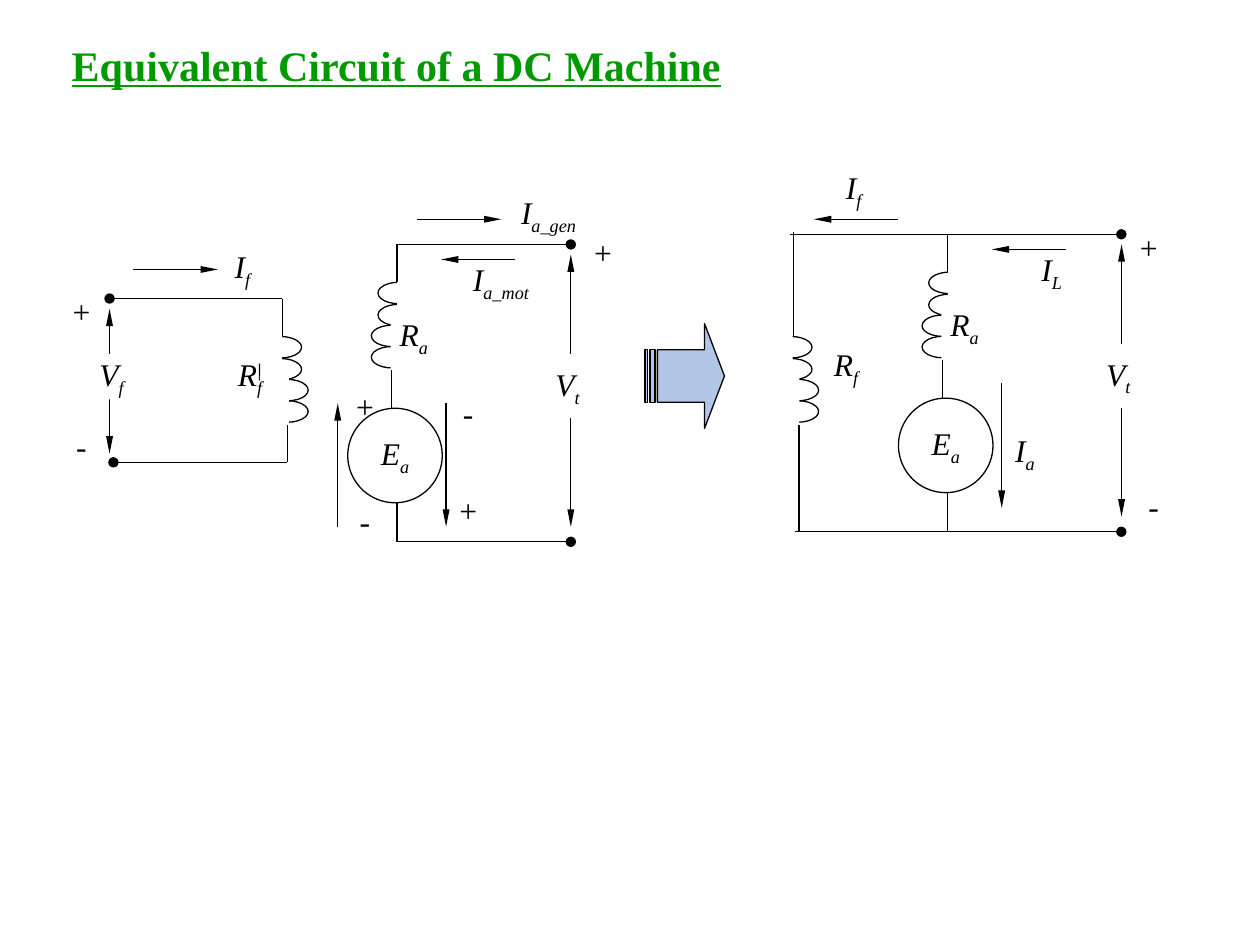
from pptx import Presentation
from pptx.dml.color import RGBColor
from pptx.enum.shapes import MSO_CONNECTOR, MSO_SHAPE
from pptx.enum.text import MSO_ANCHOR, PP_ALIGN
from pptx.oxml.ns import qn
from pptx.util import Pt
from lxml import etree

STRAIGHT = MSO_CONNECTOR.STRAIGHT
DELAY, RECT = MSO_SHAPE.FLOWCHART_DELAY, MSO_SHAPE.RECTANGLE
OVAL, STRIPED_ARROW = MSO_SHAPE.OVAL, MSO_SHAPE.STRIPED_RIGHT_ARROW
MIDDLE, LEFT, CENTER = MSO_ANCHOR.MIDDLE, PP_ALIGN.LEFT, PP_ALIGN.CENTER

THEME = {
    "font": "Times New Roman",
    "title": RGBColor(0x00, 0x99, 0x00),
    "ink": RGBColor(0, 0, 0),
    "paper": RGBColor(0xFF, 0xFF, 0xFF),
    "arrow": RGBColor(0x44, 0x72, 0xC4),
    "title_size": Pt(24),
    "label_size": Pt(18),
    "line": Pt(0.75),
}

TITLE = "Equivalent Circuit of a DC Machine"

# Armature branch, shared by both circuits: lines are (x1, y1, x2, y2, head, tail)
ARMATURE_COIL = (216, 161.3)
ARMATURE_LINES = [
    (226.8, 139.7, 226.8, 161.3, None, None),
    (223.9, 211.7, 223.9, 233.3, None, None),
    (226.8, 287.3, 226.8, 309.6, None, None),
    (326.2, 145.4, 326.2, 301, "triangle", "triangle"),
    (294.5, 148.3, 252, 148.3, None, "triangle"),
]
EMF = (198.7, 233.3, 54, 54)
VOLTAGE_BOX = (308.9, 202.3, 31, 36.7)
RESISTANCE_BOX = (221, 179.3, 31, 26)
CURRENT_BOX = (257.8, 139.7, 56.9, 42.5)

# (x shift, y shift, subscript of the terminal current)
ARMATURES = [(0, 0, "a_mot"), (314.7, -5.8, "L")]

# Field coils: (x, y, whether the second turn is masked)
FIELD_COILS = [(148.3, 192.3, False), (440, 192.3, True)]

LINES = [
    # Separately excited field circuit
    (62.6, 170.6, 161.3, 170.6, "oval", None),
    (64.8, 264.2, 164.2, 264.2, "oval", None),
    (161.3, 170.6, 161.3, 192.3, None, None),
    (164.2, 242.6, 164.2, 264.2, None, None),
    (76.3, 154, 124.5, 154, None, "triangle"),
    (62.6, 176.4, 62.6, 259.2, "triangle", "triangle"),
    # Armature rails and current directions
    (326.2, 139.7, 226.8, 139.7, "oval", None),
    (326.2, 309.6, 226.8, 309.6, "oval", None),
    (238.3, 125.3, 286.5, 125.3, None, "triangle"),
    (193, 301, 193, 230.4, None, "triangle"),
    (254.9, 301, 254.9, 230.4, "triangle", None),
    # Combined circuit
    (453.5, 132.5, 453.5, 192.3, None, None),
    (456.5, 242.6, 456.5, 304, None, None),
    (640.8, 133.9, 451.4, 133.9, "oval", None),
    (640.8, 303.9, 454.3, 303.9, "oval", None),
    (465.1, 125.3, 513.4, 125.3, "triangle", None),
    (572.4, 290.2, 572.4, 218.9, "triangle", None),
]

# (x, y, width, height, symbol, subscript)
LABELS = [
    (289.4, 103, 48.2, 39.6, "I", "a_gen"),
    (121.7, 136.8, 33.8, 33.8, "I", "f"),
    (127.4, 202.3, 31, 26, "R", "f"),
    (31, 164.9, 31, 26, "+", ""),
    (31, 241.9, 31, 26, "-", ""),
    (193, 218.9, 31, 26, "+", ""),
    (193, 284.4, 31, 26, "-", ""),
    (252, 281.5, 31, 20, "+", ""),
    (252, 227.5, 31, 17.3, "-", ""),
    (329, 131, 31, 26, "+", ""),
    (561.6, 239, 48.2, 39.6, "I", "a"),
    (470.9, 91.4, 33.8, 33.8, "I", "f"),
    (468, 196.6, 31, 26, "R", "f"),
    (643.7, 275.8, 31, 26, "-", ""),
    (640.8, 128.2, 31, 26, "+", ""),
]
FIELD_VOLTAGE_BOX = (48.2, 202.3, 31, 26)
CONVERSION_ARROW = (368.6, 185, 45.4, 59.8)

# Turns of a coil (outward shift, drop), in drawing order
TURNS = [(0, 12.6), (3.8, 24.5), (3.8, 36.7), (0, 0)]
TURN_W, TURN_H = 24, 12.3
MASK_W, MASK_H, MASK_OUT, MASK_UP = 16.6, 17.8, 3.6, 2.2


def add_shape(kind, box, fill=None, outlined=True):
    shape = slide.shapes.add_shape(kind, *map(Pt, box))
    shape.shadow.inherit = False
    if fill is None:
        shape.fill.background()
    else:
        shape.fill.solid()
        shape.fill.fore_color.rgb = fill
    if outlined:
        shape.line.color.rgb = THEME["ink"]
        shape.line.width = THEME["line"]
    else:
        shape.line.fill.background()
    return shape


def add_line(x1, y1, x2, y2, head, tail):
    wire = slide.shapes.add_connector(STRAIGHT, Pt(x1), Pt(y1), Pt(x2), Pt(y2))
    wire.line.color.rgb = THEME["ink"]
    wire.line.width = THEME["line"]
    properties = wire._element.spPr
    outline = properties.find(qn("a:ln"))
    for tag, end in (("a:headEnd", head), ("a:tailEnd", tail)):
        if end:
            tip = etree.SubElement(outline, qn(tag), type=end)
            if end == "triangle":
                tip.set("w", "sm")
                tip.set("len", "lg")
    etree.SubElement(properties, qn("a:effectLst"))


def write_symbol(shape, symbol, subscript, inset=0):
    frame = shape.text_frame
    frame.word_wrap = False
    frame.vertical_anchor = MIDDLE
    frame.margin_left = frame.margin_right = Pt(2 * inset)
    frame.margin_top = frame.margin_bottom = Pt(inset)
    paragraph = frame.paragraphs[0]
    paragraph.alignment = CENTER
    paragraph.font.name = THEME["font"]
    paragraph.font.size = THEME["label_size"]
    paragraph.font.italic = True
    paragraph.font.color.rgb = THEME["ink"]
    paragraph.add_run().text = symbol
    if subscript:
        lowered = paragraph.add_run()
        lowered.text = subscript
        lowered._r.get_or_add_rPr().set("baseline", "-25000")


def add_label(x, y, w, h, symbol, subscript):
    write_symbol(slide.shapes.add_textbox(Pt(x), Pt(y), Pt(w), Pt(h)), symbol, subscript)


def add_coil(x, y, mirrored=False, mask_second=True):
    for number, (out, drop) in enumerate(TURNS):
        left = x - out if mirrored else x + out
        turn = add_shape(DELAY, (left, y + drop, TURN_W, TURN_H))
        if mirrored:
            turn._element.spPr.find(qn("a:xfrm")).set("flipH", "1")
        if number or mask_second:
            mask_x = left + TURN_W + MASK_OUT - MASK_W if mirrored else left - MASK_OUT
            add_shape(RECT, (mask_x, y + drop - MASK_UP, MASK_W, MASK_H),
                      THEME["paper"], outlined=False)


def add_voltage(box, subscript):
    write_symbol(add_shape(RECT, box, THEME["paper"], outlined=False), "V", subscript)


def add_armature(dx, dy, current):
    def shifted(box):
        return (box[0] + dx, box[1] + dy, *box[2:])

    add_coil(*shifted(ARMATURE_COIL), mirrored=True)
    for x1, y1, x2, y2, head, tail in ARMATURE_LINES:
        add_line(x1 + dx, y1 + dy, x2 + dx, y2 + dy, head, tail)
    write_symbol(add_shape(OVAL, shifted(EMF)), "E", "a", inset=3.6)
    add_voltage(shifted(VOLTAGE_BOX), "t")
    add_label(*shifted(RESISTANCE_BOX), "R", "a")
    add_label(*shifted(CURRENT_BOX), "I", current)


presentation = Presentation()
presentation.slide_width, presentation.slide_height = Pt(720), Pt(540)
slide = presentation.slides.add_slide(presentation.slide_layouts[5])

# Title
title = slide.shapes.title
title.left, title.top, title.width, title.height = Pt(33.8), Pt(18), Pt(648), Pt(41)
title.text_frame.text = TITLE
title.text_frame.vertical_anchor = MIDDLE
heading = title.text_frame.paragraphs[0]
heading.alignment = LEFT
heading.line_spacing = 0.9
heading.font.name = THEME["font"]
heading.font.size = THEME["title_size"]
heading.font.bold = heading.font.underline = True
heading.font.color.rgb = THEME["title"]

# Circuits
for x, y, mask_second in FIELD_COILS:
    add_coil(x, y, mask_second=mask_second)
for armature in ARMATURES:
    add_armature(*armature)
for line in LINES:
    add_line(*line)
add_voltage(FIELD_VOLTAGE_BOX, "f")
for label in LABELS:
    add_label(*label)

# Conversion arrow between the circuits
conversion = add_shape(STRIPED_ARROW, CONVERSION_ARROW, THEME["arrow"])
conversion.adjustments[0], conversion.adjustments[1] = 0.5, 0.25
tint = conversion._element.spPr.find(qn("a:solidFill"))[0]
etree.SubElement(tint, qn("a:alpha"), val="40000")

presentation.save("out.pptx")
